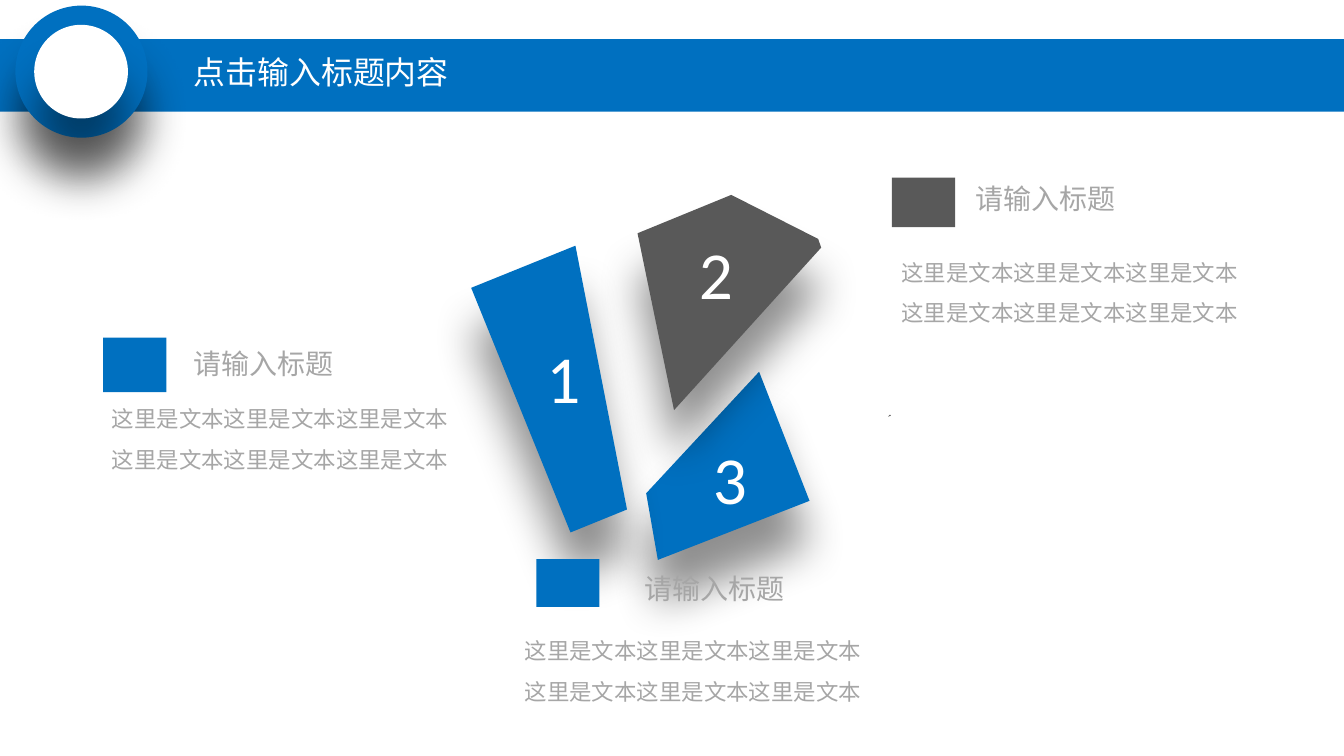
"""Build a slide with three numbered shards and their captions."""
from typing import NamedTuple

from lxml import etree
from pptx import Presentation
from pptx import util as u
from pptx.dml.color import RGBColor
from pptx.enum import shapes, text
from pptx.oxml import ns

COLORS = {"blue": "0070C0", "dark": "595959", "gray": "A6A6A6", "white": "FFFFFF", "shadow": "000000"}
BODY_TEXT = "这里是文本" * 6
CAPTION_TITLE = "请输入标题"

Points = list[tuple[float, float]]


class Box(NamedTuple):
    left: float
    top: float
    width: float
    height: float

    def lengths(self) -> list[u.Cm]:
        return [u.Cm(value) for value in self]


class Style(NamedTuple):
    size: float
    color: str
    font: str = "Calibri"
    spacing: float = 1.0
    align: text.PP_ALIGN = text.PP_ALIGN.LEFT
    anchor: text.MSO_ANCHOR = text.MSO_ANCHOR.TOP
    fit: text.MSO_AUTO_SIZE = text.MSO_AUTO_SIZE.SHAPE_TO_FIT_TEXT


class Item(NamedTuple):
    number: str
    color: str
    contours: list[Points]
    number_box: Box
    swatch: Box
    title_box: Box
    body_box: Box


HEADING = Style(24, "white", "Roboto Condensed", 0.9, anchor=text.MSO_ANCHOR.MIDDLE, fit=text.MSO_AUTO_SIZE.NONE)
NUMBER = Style(50.6, "white", align=text.PP_ALIGN.CENTER)
TITLE = Style(21.1, "gray")
BODY = Style(16.9, "gray", spacing=1.5)

ITEMS = [
    Item("3", "blue",
         [[(20.17, 9.88), (21.51, 13.31), (17.48, 14.88), (17.17, 13.11)]],
         Box(18.69, 11.51, 1.04, 2.41), Box(14.25, 14.86, 1.68, 1.27),
         Box(16.87, 15.06, 4.75, 1.17), Box(13.69, 16.46, 10.01, 2.41)),
    Item("2", "dark",
         [[(23.65, 11.02), (23.67, 11.05), (23.6, 11.07)],
          [(16.94, 6.2), (19.43, 5.18), (21.74, 6.35), (21.82, 6.58), (17.91, 10.9)]],
         Box(17.83, 6.05, 2.39, 2.41), Box(23.7, 4.72, 1.68, 1.32),
         Box(25.68, 4.7, 5.79, 1.17), Box(23.7, 6.4, 10.01, 2.41)),
    Item("1", "blue",
         [[(12.52, 7.65), (15.29, 6.53), (16.66, 13.54), (15.16, 14.15)]],
         Box(14.27, 8.81, 1.04, 2.41), Box(2.74, 8.97, 1.68, 1.45),
         Box(4.88, 9.09, 4.9, 1.17), Box(2.72, 10.29, 10.01, 2.29)),
]


def paint(shape, color: str, shadow: bool = False) -> None:
    shape.fill.solid()
    shape.fill.fore_color.rgb = RGBColor.from_string(COLORS[color])
    shape.line.fill.background()
    shape.shadow.inherit = False
    if shadow:
        effects = shape.element.spPr.find(ns.qn("a:effectLst"))
        outer = etree.SubElement(effects, ns.qn("a:outerShdw"), blurRad=str(u.Pt(33)),
                                 dist=str(u.Pt(33)), dir="5400000", rotWithShape="0")
        tint = etree.SubElement(outer, ns.qn("a:srgbClr"), val=COLORS["shadow"])
        etree.SubElement(tint, ns.qn("a:alpha"), val="43000")


def add_preset(slide, kind: shapes.MSO_SHAPE, box: Box, color: str, shadow: bool = False) -> None:
    paint(slide.shapes.add_shape(kind, *box.lengths()), color, shadow)


def add_shard(slide, contours: list[Points], color: str) -> None:
    outlines = [[(u.Cm(x), u.Cm(y)) for x, y in contour] for contour in contours]
    builder = slide.shapes.build_freeform(*outlines[0][0])
    builder.add_line_segments(outlines[0][1:], close=True)
    for outline in outlines[1:]:
        builder.move_to(*outline[0])
        builder.add_line_segments(outline[1:], close=True)
    paint(builder.convert_to_shape(), color, shadow=True)


def add_text(slide, wording: str, box: Box, style: Style) -> None:
    frame = slide.shapes.add_textbox(*box.lengths()).text_frame
    frame.word_wrap = True
    frame.auto_size = style.fit
    frame.vertical_anchor = style.anchor
    paragraph = frame.paragraphs[0]
    paragraph.text = wording
    paragraph.alignment = style.align
    paragraph.line_spacing = style.spacing
    paragraph.font.size = u.Pt(style.size)
    paragraph.font.name = style.font
    paragraph.font.color.rgb = RGBColor.from_string(COLORS[style.color])


def main() -> None:
    presentation = Presentation()
    presentation.slide_width, presentation.slide_height = u.Cm(35.71), u.Cm(20.09)
    slide = presentation.slides.add_slide(presentation.slide_layouts[6])

    add_preset(slide, shapes.MSO_SHAPE.RECTANGLE, Box(0, 1.04, 35.71, 1.93), "blue")
    add_preset(slide, shapes.MSO_SHAPE.OVAL, Box(0.41, 0.15, 3.51, 3.51), "blue", shadow=True)
    add_preset(slide, shapes.MSO_SHAPE.OVAL, Box(0.91, 0.66, 2.49, 2.49), "white", shadow=True)
    add_text(slide, "点击输入标题内容", Box(4.9, 1.27, 8.81, 1.4), HEADING)

    for item in ITEMS:
        add_shard(slide, item.contours, item.color)
    for item in ITEMS:
        add_preset(slide, shapes.MSO_SHAPE.RECTANGLE, item.swatch, item.color)
        add_text(slide, item.number, item.number_box, NUMBER)
        add_text(slide, CAPTION_TITLE, item.title_box, TITLE)
        add_text(slide, BODY_TEXT, item.body_box, BODY)

    presentation.save("out.pptx")


if __name__ == "__main__":
    main()
